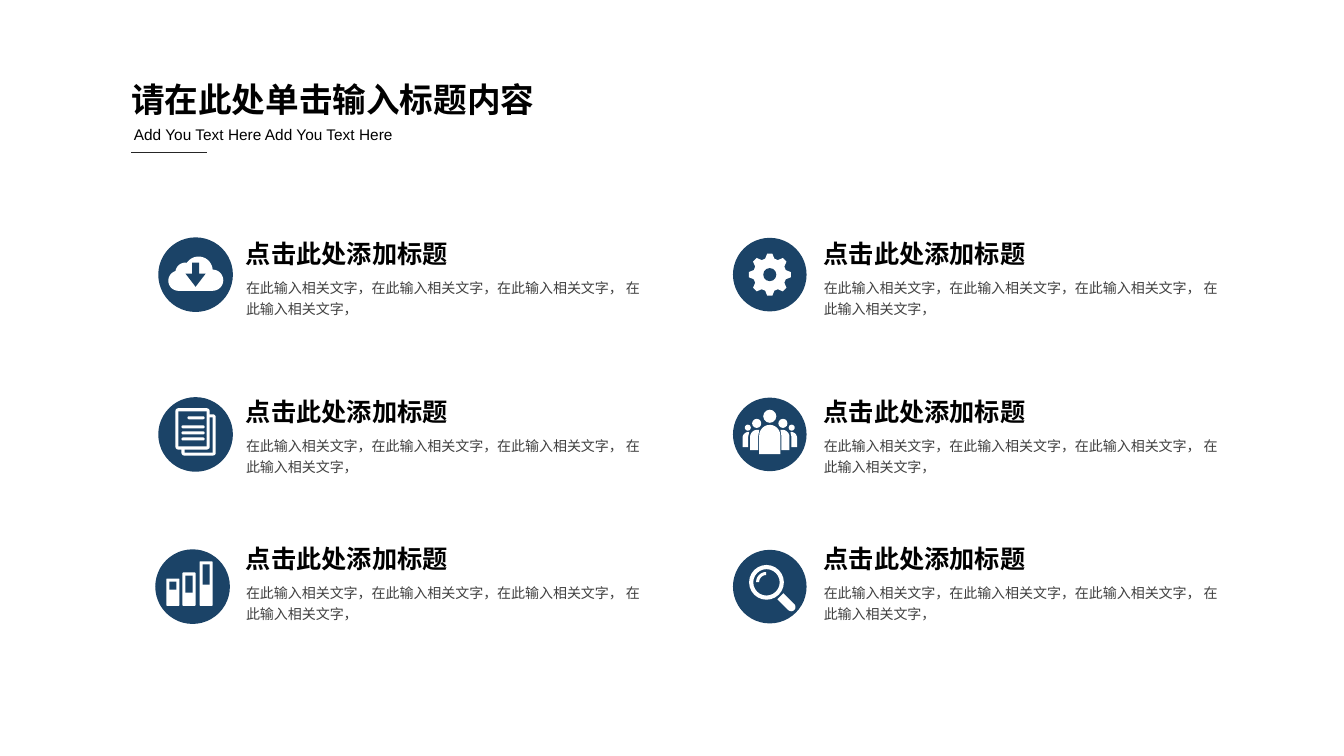
from math import cos, radians, sin

from lxml import etree
from pptx import Presentation
from pptx.dml.color import RGBColor
from pptx.enum.shapes import MSO_CONNECTOR, MSO_SHAPE as Shape
from pptx.enum.text import MSO_ANCHOR, PP_ALIGN
from pptx.oxml.ns import qn
from pptx.util import Inches, Pt

# Content
TITLE = "请在此处单击输入标题内容"
SUBTITLE = "Add You Text Here Add You Text Here"
HEADING = "点击此处添加标题"
BODY = "在此输入相关文字，在此输入相关文字，在此输入相关文字， 在此输入相关文字，"
ITEMS = [  # icon, column, row
    ("cloud", 0, 0), ("gear", 1, 0),
    ("document", 0, 1), ("people", 1, 1),
    ("bars", 0, 2), ("magnifier", 1, 2),
]

# Grid in inches
TEXT_LEFTS = (2.37, 8.1)
HEADING_TOPS = (2.32, 3.89, 5.35)
CENTRES_X = (1.94, 7.635)
CENTRES_Y = (2.725, 4.31, 5.82)
DISC_SIZES = (74, 73)
CENTRE_SHIFT = {"bars": -0.03}

NAVY = RGBColor(0x1B, 0x43, 0x67)
WHITE = RGBColor(0xFF, 0xFF, 0xFF)
BLACK = RGBColor(0, 0, 0)
GREY = RGBColor(0x40, 0x40, 0x40)
RULE = RGBColor(0x26, 0x26, 0x26)
CHINESE, LATIN = "Noto Sans CJK SC", "Arial"


def write(shape, text, size, color=BLACK, font=CHINESE, bold=False,
          spacing=None, inset=(0.07, 0.04)):
    frame = shape.text_frame
    frame.word_wrap = True
    frame.vertical_anchor = MSO_ANCHOR.TOP
    frame.margin_left = frame.margin_right = Inches(inset[0])
    frame.margin_top = frame.margin_bottom = Inches(inset[1])
    paragraph = frame.paragraphs[0]
    paragraph.alignment = PP_ALIGN.LEFT
    if spacing:
        paragraph.line_spacing = spacing
    run = paragraph.add_run()
    run.text = text
    run.font.size, run.font.bold, run.font.name = Pt(size), bold, font
    run.font.color.rgb = color
    east_asian = etree.SubElement(run.font._element, qn("a:ea"))
    east_asian.set("typeface", font)


def arc(x, y, radius, start, end, steps=16):
    angles = [radians(start + (end - start) * i / steps) for i in range(steps + 1)]
    return [(x + radius * cos(a), y + radius * sin(a)) for a in angles]


class Icon:
    """A group whose parts are placed in 1/100 inch from the disc's centre."""

    def __init__(self, slide, centre_x, centre_y):
        self.shapes = slide.shapes.add_group_shape().shapes
        self.centre = (centre_x, centre_y)

    def place(self, x, y):
        return (Inches(self.centre[0] + x / 100), Inches(self.centre[1] + y / 100))

    def paint(self, shape, color):
        shape.shadow.inherit = False
        shape.fill.solid()
        shape.fill.fore_color.rgb = color
        shape.line.fill.background()

    def preset(self, kind, x, y, width, height, color=WHITE, adjust=()):
        shape = self.shapes.add_shape(
            kind, *self.place(x, y), Inches(width / 100), Inches(height / 100))
        for index, value in enumerate(adjust):
            shape.adjustments[index] = value
        self.paint(shape, color)

    def outline(self, points):
        first, *rest = [self.place(x, y) for x, y in points]
        builder = self.shapes.build_freeform(*first, scale=1.0)
        builder.add_line_segments(rest, close=True)
        self.paint(builder.convert_to_shape(), WHITE)


def cloud(icon):
    icon.outline(arc(-17, 6, 10, 90, 250) + arc(-10, -2, 10, 190, 275)
                 + arc(3, -4, 14, 210, 355) + arc(17, 5.5, 10.5, 270, 450))
    icon.preset(Shape.DOWN_ARROW, -10, -12, 20, 24, NAVY, (0.35, 0.65))


def gear(icon):
    tooth = ((-16, 16.5), (-7, 21), (7, 21), (16, 16.5))
    icon.outline([(radius * cos(radians(turn + angle)), radius * sin(radians(turn + angle)))
                  for turn in range(0, 360, 45) for angle, radius in tooth])
    icon.preset(Shape.OVAL, -6.5, -6.5, 13, 13, NAVY)


def document(icon):
    for x, y in ((-14, -20), (-20, -26)):  # back page, front page
        icon.preset(Shape.ROUNDED_RECTANGLE, x, y, 34, 47 - 6, adjust=(0.08,))
        icon.preset(Shape.RECTANGLE, x + 3, y + 3, 28, 35, NAVY)
    for x, y in ((-8, -18), (-14, -9), (-14, -3), (-14, 3)):
        icon.preset(Shape.ROUNDED_RECTANGLE, x, y, 9 - x, 3, adjust=(0.5,))


def people(icon):
    icon.preset(Shape.OVAL, -6.5, -24.5, 13, 13)
    icon.preset(Shape.ROUND_2_SAME_RECTANGLE, -10.5, -9.5, 21, 29, adjust=(0.5, 0))
    inner = [(11.5, 15.5), (11.5, 1.5), (10.5, -4.5)] + arc(12.5, 2.5, 7, 270, 360) + [(19.5, 15.5)]
    outer = [(21.5, 12.5), (21.5, 2.5), (20.5, -2)] + arc(21, 3.5, 6, 270, 360) + [(27, 12.5)]
    for side in (-1, 1):
        for x, y, size in ((13, -11, 9), (21.8, -6.7, 6)):
            icon.preset(Shape.OVAL, side * x - size / 2, y - size / 2, size, size)
        for body in (inner, outer):
            icon.outline([(side * x, y) for x, y in body])


def bars(icon):
    for x, top, window in ((-26, -8, 8), (-10, -14, 17), (7, -25, 20)):
        icon.preset(Shape.ROUNDED_RECTANGLE, x, top, 13, 19 - top, adjust=(0.06,))
        icon.preset(Shape.RECTANGLE, x + 3, top + 3, 7, window, NAVY)


def magnifier(icon):
    icon.preset(Shape.DONUT, -20.5, -21.5, 34.5, 34.5, adjust=(0.12,))
    icon.outline(arc(-3.5, -4.5, 10, 180, 270) + arc(-3.5, -4.5, 7, 270, 180))
    icon.outline([(7.5, 12.5), (13.5, 6.5)] + arc(21.3, 20.2, 4.2, -45, 135))


DRAW = {"cloud": cloud, "gear": gear, "document": document,
        "people": people, "bars": bars, "magnifier": magnifier}


def main():
    presentation = Presentation()
    presentation.slide_width, presentation.slide_height = Inches(13.33), Inches(7.5)
    slide = presentation.slides.add_slide(presentation.slide_layouts[5])

    def text_box(left, top, width, height, text, size, **style):
        box = slide.shapes.add_textbox(*map(Inches, (left, top, width, height)))
        write(box, text, size, **style)

    # Title, subtitle and rule
    title = slide.shapes.title
    title.left, title.top, title.width, title.height = map(Inches, (1.23, 0.74, 4.6, 0.48))
    write(title, TITLE, 24, bold=True)
    text_box(1.23, 1.14, 3.06, 0.34, SUBTITLE, 11, font=LATIN, spacing=1.3, inset=(0.1, 0.05))
    rule = slide.shapes.add_connector(
        MSO_CONNECTOR.STRAIGHT, *map(Inches, (1.3, 1.51, 2.05, 1.51)))
    rule.line.color.rgb, rule.line.width = RULE, Pt(0.75)
    etree.SubElement(rule._element.spPr, qn("a:effectLst"))

    # Six items: disc with icon, heading, body
    for name, column, row in ITEMS:
        icon = Icon(slide, CENTRES_X[column] + CENTRE_SHIFT.get(name, 0), CENTRES_Y[row])
        size = DISC_SIZES[column]
        icon.preset(Shape.OVAL, -size / 2, -size / 2, size, size, NAVY)
        DRAW[name](icon)
        left, top = TEXT_LEFTS[column], HEADING_TOPS[row]
        text_box(left, top, 2.3, 0.38, HEADING, 18, bold=True)
        text_box(left, top + 0.37, 4.18, 0.5, BODY, 10, color=GREY, spacing=Pt(15))

    presentation.save("out.pptx")


if __name__ == "__main__":
    main()
